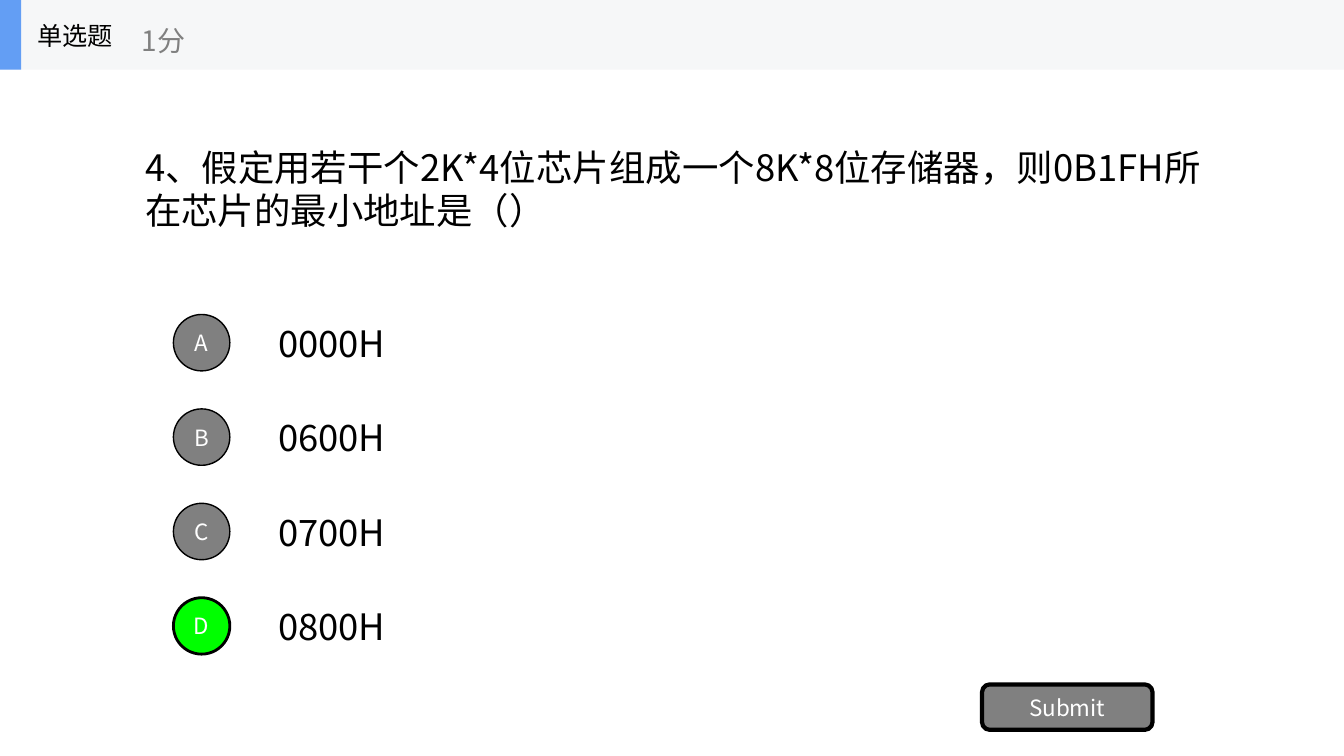
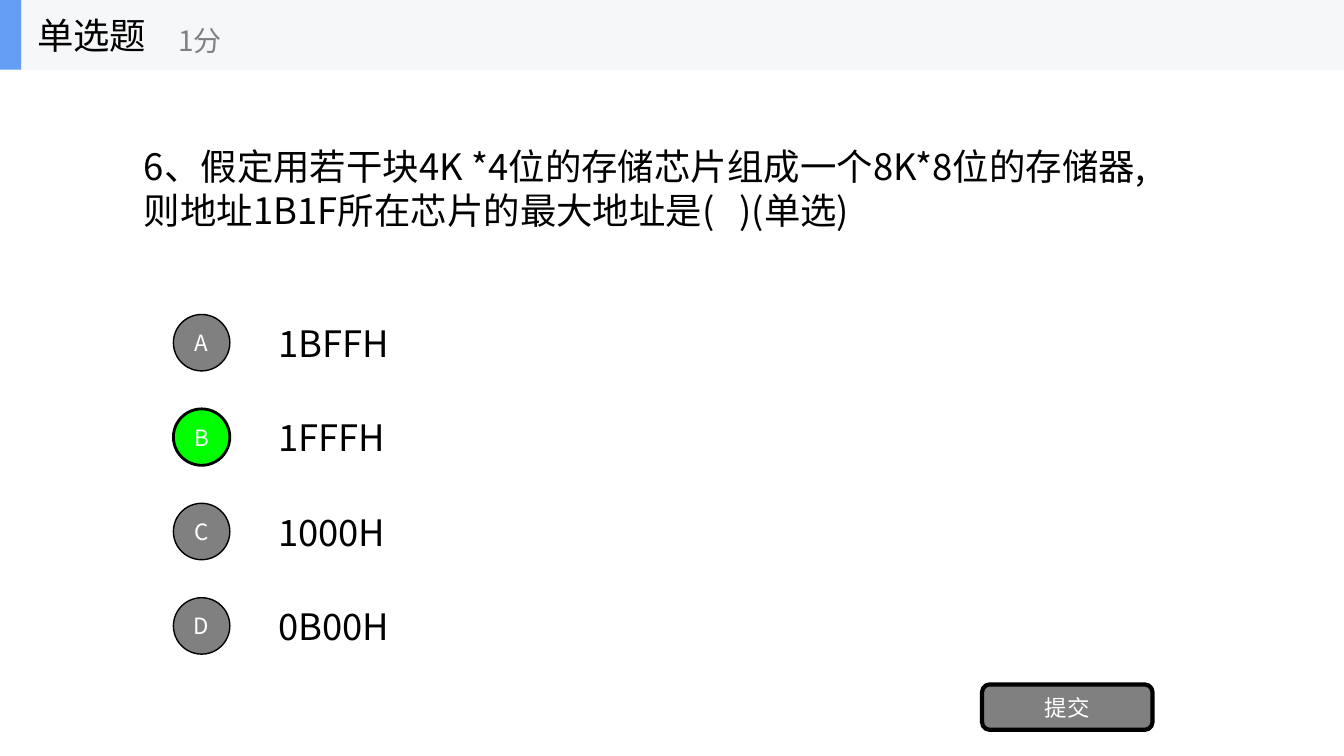
"""Build two single-choice quiz slides with a shared header, options and button."""
from pptx import Presentation
from pptx.dml.color import RGBColor
from pptx.enum import shapes, text
from pptx.oxml import ns
from pptx.util import Inches, Pt
from lxml import etree

FONT = "Noto Sans CJK SC"
HUES = {"ink": "000000", "white": "FFFFFF", "gray": "808080",
        "right": "00FF00", "band": "F6F7F8", "accent": "639EF4"}
KIND = shapes.MSO_SHAPE
TOP, LAST, DOT = 3.12, 5.93, 0.56
STEP = (LAST - TOP) / 3

QUIZ = [
    {"ask": "4、假定用若干个2K*4位芯片组成一个8K*8位存储器，则0B1FH所在芯片的最小地址是（）",
     "area": (1.34, 0.7, 10.67, 2.34), "picks": ["0000H", "0600H", "0700H", "0800H"],
     "field": (9.33, 0.7), "key": "D", "button": "Submit", "size": 18, "score": 1.31},
    {"ask": "6、假定用若干块4K *4位的存储芯片组成一个8K*8位的存储器,则地址1B1F所在芯片的最大地址是(   )(单选)",
     "area": (1.33, 1.38, 10.4, 0.97), "picks": ["1BFFH", "1FFFH", "1000H", "0B00H"],
     "field": (1.45, 0.53), "key": "B", "button": "提交", "size": 26, "score": 1.67},
]


def write(shape, words, size, hue="ink", align=text.PP_ALIGN.LEFT):
    """Put one run of styled text in the middle of a shape."""
    frame = shape.text_frame
    frame.word_wrap = True
    frame.vertical_anchor = text.MSO_ANCHOR.MIDDLE
    para = frame.paragraphs[0]
    para.alignment = align
    run = para.add_run()
    run.text = words
    run.font.size = Pt(size)
    run.font.name = FONT
    run.font.color.rgb = RGBColor.from_string(HUES[hue])
    etree.SubElement(run.font._element, ns.qn("a:ea"), typeface=FONT)


def draw(home, kind, box, fill, line=0):
    """Add a flat filled shape, outlined when a line width is given."""
    shape = home.add_shape(kind, *map(Inches, box))
    shape.shadow.inherit = False
    shape.fill.solid()
    shape.fill.fore_color.rgb = RGBColor.from_string(HUES[fill])
    if line:
        shape.line.width = Pt(line)
        shape.line.color.rgb = RGBColor.from_string(HUES["ink"])
    else:
        shape.line.fill.background()
    return shape


deck = Presentation()
deck.slide_width, deck.slide_height = Inches(13.33), Inches(7.5)

for quiz in QUIZ:
    page = deck.slides.add_slide(deck.slide_layouts[6]).shapes
    write(page.add_textbox(*map(Inches, quiz["area"])), quiz["ask"], 26)

    wide, high = quiz["field"]
    for row, (mark, pick) in enumerate(zip("ABCD", quiz["picks"])):
        top = TOP + row * STEP
        mid = top + DOT / 2
        box = (2.66, mid - high / 2, wide, high)
        write(page.add_textbox(*map(Inches, box)), pick, 26)
        hit = mark == quiz["key"]
        dot = draw(page, KIND.OVAL, (1.72, top, DOT, DOT),
                   "right" if hit else "gray", 2 if hit else 1)
        write(dot, mark, 16, "white", text.PP_ALIGN.CENTER)

    button = draw(page, KIND.ROUNDED_RECTANGLE, (9.74, 6.79, 1.69, 0.45), "gray", 3)
    write(button, quiz["button"], 16, "white", text.PP_ALIGN.CENTER)

    head = page.add_group_shape().shapes
    draw(head, KIND.RECTANGLE, (0, 0, 13.33, 0.69), "band")
    draw(head, KIND.RECTANGLE, (0, 0, 0.21, 0.69), "accent")
    for words, box, size, hue in [
        ("单选题", (0.27, 0, 2.08, 0.7), quiz["size"], "ink"),
        ("1分", (quiz["score"], 0.12, 2.5, 0.56), 20, "gray"),
    ]:
        write(head.add_textbox(*map(Inches, box)), words, size, hue)

deck.save("out.pptx")
